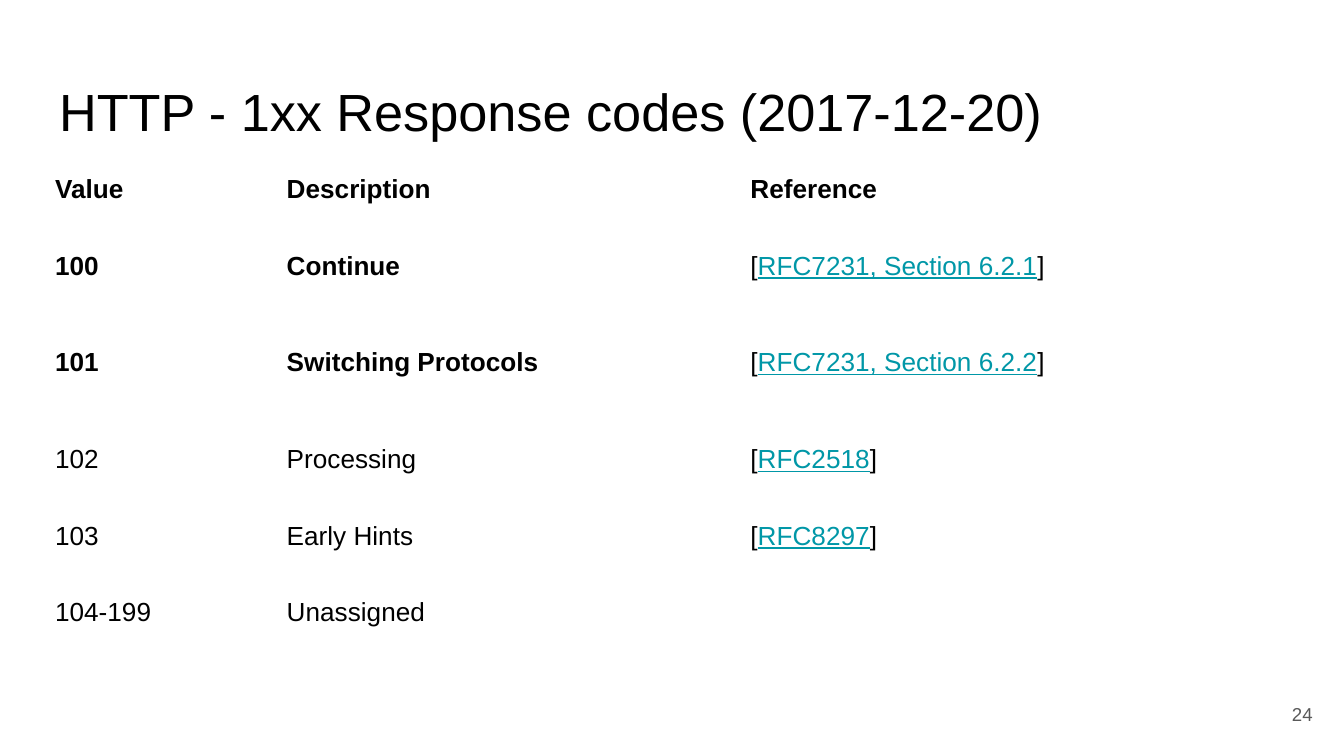
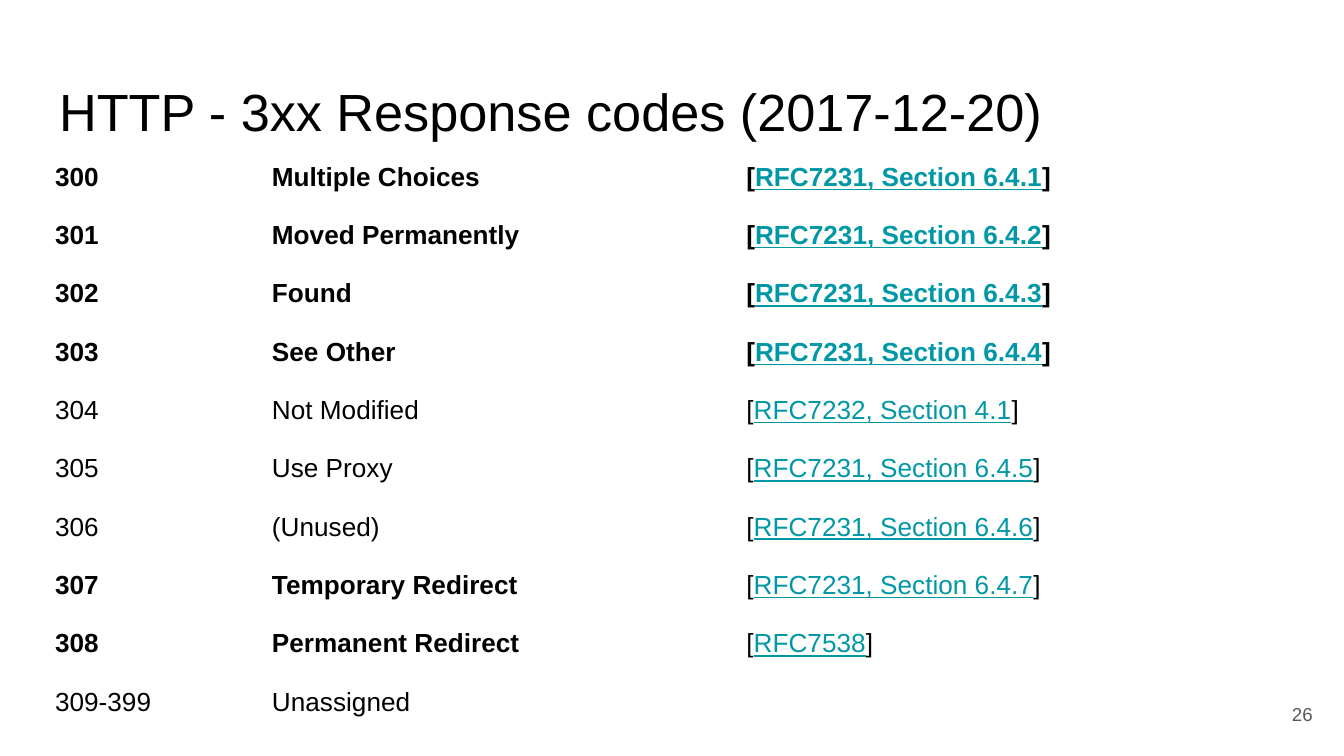
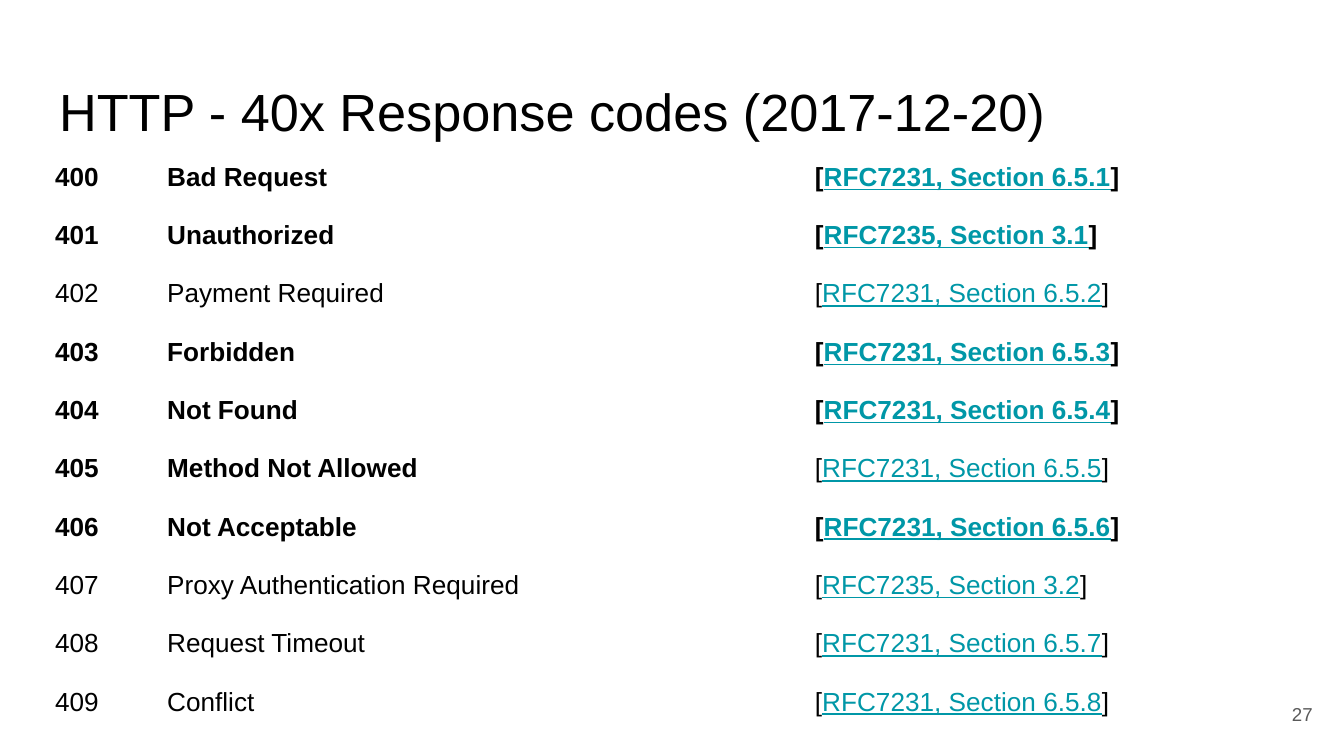
from pptx import Presentation
from pptx.dml.color import RGBColor
from pptx.enum.text import MSO_ANCHOR, PP_ALIGN
from pptx.oxml.ns import qn
from pptx.util import Inches, Pt

FONT = "Arial"
INK, LINK, MUTED = "000000", "0097A7", "595959"
SLIDE_COLUMNS, SLIDE_ROWS = 100, 56.25
LEFT = 3.4
NO_GRID_STYLE = "{2D5ABB26-0587-4C30-8999-92F81FD0307C}"

# How many of a row's columns, from the left, are bold
PLAIN, NAMED, FULL = 0, 2, 3

INFORMATIONAL = [
    ("Value", "Description", "Reference", FULL),
    ("100", "Continue", "[RFC7231, Section 6.2.1]", NAMED),
    ("101", "Switching Protocols", "[RFC7231, Section 6.2.2]", NAMED),
    ("102", "Processing", "[RFC2518]", PLAIN),
    ("103", "Early Hints", "[RFC8297]", PLAIN),
    ("104-199", "Unassigned", "", PLAIN),
]
REDIRECTION = [
    ("300", "Multiple Choices", "[RFC7231, Section 6.4.1]", FULL),
    ("301", "Moved Permanently", "[RFC7231, Section 6.4.2]", FULL),
    ("302", "Found", "[RFC7231, Section 6.4.3]", FULL),
    ("303", "See Other", "[RFC7231, Section 6.4.4]", FULL),
    ("304", "Not Modified", "[RFC7232, Section 4.1]", PLAIN),
    ("305", "Use Proxy", "[RFC7231, Section 6.4.5]", PLAIN),
    ("306", "(Unused)", "[RFC7231, Section 6.4.6]", PLAIN),
    ("307", "Temporary Redirect", "[RFC7231, Section 6.4.7]", NAMED),
    ("308", "Permanent Redirect", "[RFC7538]", NAMED),
    ("309-399", "Unassigned", "", PLAIN),
]
CLIENT_ERROR = [
    ("400", "Bad Request", "[RFC7231, Section 6.5.1]", FULL),
    ("401", "Unauthorized", "[RFC7235, Section 3.1]", FULL),
    ("402", "Payment Required", "[RFC7231, Section 6.5.2]", PLAIN),
    ("403", "Forbidden", "[RFC7231, Section 6.5.3]", FULL),
    ("404", "Not Found", "[RFC7231, Section 6.5.4]", FULL),
    ("405", "Method Not Allowed", "[RFC7231, Section 6.5.5]", NAMED),
    ("406", "Not Acceptable", "[RFC7231, Section 6.5.6]", FULL),
    ("407", "Proxy Authentication Required", "[RFC7235, Section 3.2]", PLAIN),
    ("408", "Request Timeout", "[RFC7231, Section 6.5.7]", PLAIN),
    ("409", "Conflict", "[RFC7231, Section 6.5.8]", PLAIN),
]


def grid(count):
    """Length of a number of grid steps, ten to the inch."""
    return Inches(count / 10)


def format_run(run, size, color, bold=False, underline=False):
    font = run.font
    font.name, font.size = FONT, Pt(size)
    font.bold, font.underline = bold, underline
    font.color.rgb = RGBColor.from_string(color)


def write_line(frame, text, size, color, align, anchor):
    frame.margin_left = frame.margin_right = grid(1)
    frame.margin_top = frame.margin_bottom = grid(1)
    frame.word_wrap = True
    frame.vertical_anchor = anchor
    frame.text = text
    line = frame.paragraphs[0]
    line.alignment = align
    format_run(line.runs[0], size, color)


def add_titled_slide(deck, heading, number):
    slide = deck.slides.add_slide(deck.slide_layouts[5])
    title = slide.shapes.title
    title.left, title.top = grid(LEFT), grid(4.9)
    title.width, title.height = grid(SLIDE_COLUMNS - 2 * LEFT), grid(6.3)
    write_line(title.text_frame, heading, 28, INK, PP_ALIGN.LEFT, MSO_ANCHOR.TOP)
    page = slide.shapes.add_textbox(grid(92.65), grid(51), grid(6), grid(4.3))
    write_line(page.text_frame, str(number), 10, MUTED, PP_ALIGN.RIGHT, MSO_ANCHOR.MIDDLE)
    return slide


def fill_cell(cell, text, bold):
    """Write a cell; what stands in square brackets looks like a link."""
    cell.fill.background()
    cell.margin_left = cell.margin_right = grid(0.7)
    cell.margin_top = cell.margin_bottom = grid(1)
    line = cell.text_frame.paragraphs[0]
    if not text.startswith("["):
        line.text = text
        for run in line.runs:
            format_run(run, 14, INK, bold)
        return
    for part in ("[", text[1:-1], "]"):
        is_link = part not in "[]"
        run = line.add_run()
        run.text = part
        format_run(run, 14, LINK if is_link else INK, bold, is_link)


def add_code_table(slide, codes, top, widths, heights):
    frame = slide.shapes.add_table(
        len(codes), len(widths), grid(LEFT), grid(top),
        grid(sum(widths)), grid(sum(heights)))
    table = frame.table
    table.first_row = table.horz_banding = False
    next(frame.element.iter(qn("a:tableStyleId"))).text = NO_GRID_STYLE
    for column, width in zip(table.columns, widths):
        column.width = grid(width)
    for row, height, (*texts, bold_columns) in zip(table.rows, heights, codes):
        row.height = grid(height)
        for index, (cell, text) in enumerate(zip(row.cells, texts)):
            fill_cell(cell, text, index < bold_columns)


def main():
    deck = Presentation()
    deck.slide_width, deck.slide_height = grid(SLIDE_COLUMNS), grid(SLIDE_ROWS)
    pages = [
        ("1xx", 24, INFORMATIONAL, 12, (17.24, 34.5, 41.4),
         (5.7, 7.2, 7.2, 5.7, 5.7, 8.5)),
        ("3xx", 26, REDIRECTION, 11.1, (16.14, 35.3, 41.2), [3.7] * 9 + [4.9]),
        ("40x", 27, CLIENT_ERROR, 11.1, (8.34, 48.2, 38.4), [1.8] * 10),
    ]
    for family, number, codes, top, widths, heights in pages:
        heading = f"HTTP - {family} Response codes (2017-12-20)"
        slide = add_titled_slide(deck, heading, number)
        add_code_table(slide, codes, top, widths, heights)
    deck.save("out.pptx")


if __name__ == "__main__":
    main()
